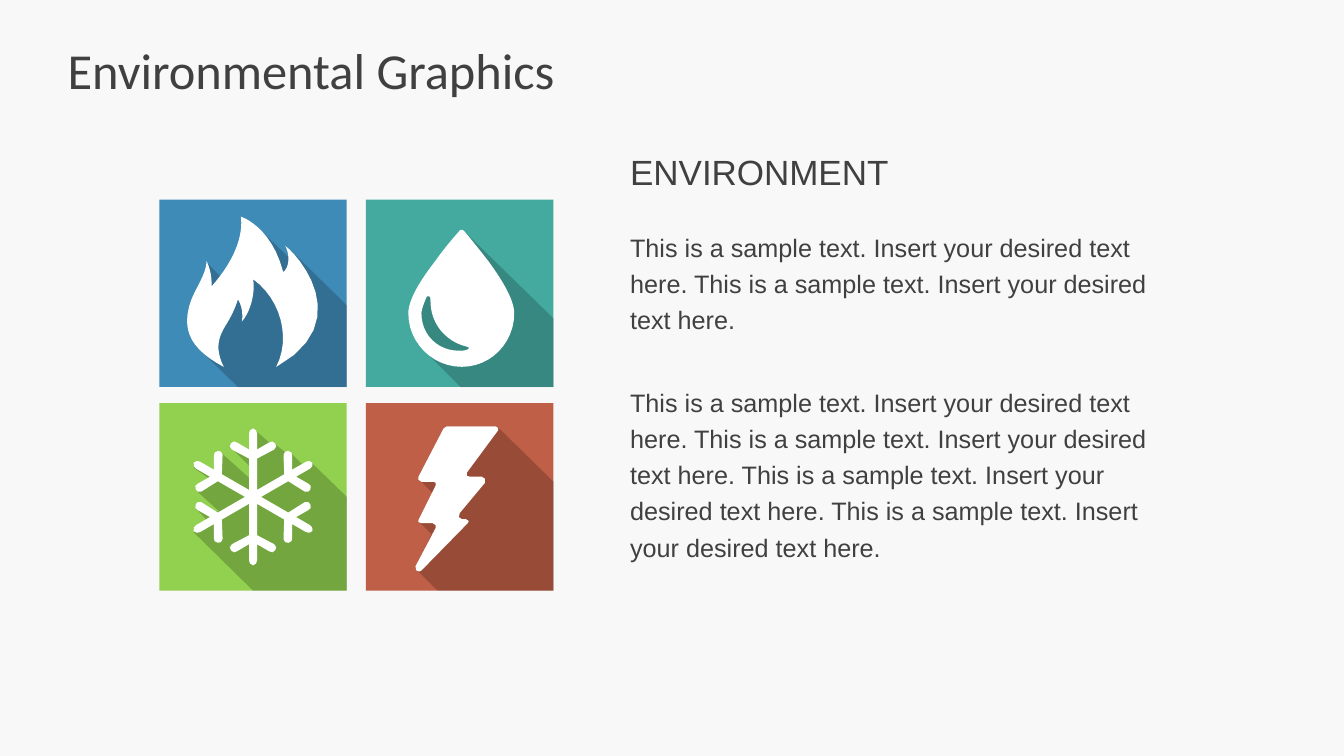
from dataclasses import dataclass
from math import cos, pi, sin

from pptx import Presentation, util as u
from pptx.dml.color import RGBColor
from pptx.enum import shapes, text
from pptx.oxml import parse_xml
from pptx.oxml.ns import nsdecls

PX = 9144  # one px is a hundredth of an inch
SIDE = 186
INK = "404040"
Points = list[tuple[float, float]]


@dataclass
class Tile:
    left: int
    top: int
    color: str
    shade: Points
    icon: list[Points]


@dataclass
class Label:
    box: tuple[int, int, int, int]
    lines: list[str]
    size: int
    font: str = "Arial"
    pitch: float = 1.0
    before: tuple[float, ...] = (0,)
    anchor: text.MSO_ANCHOR = text.MSO_ANCHOR.TOP


def emu(px: float) -> int:
    return round(px * PX)


def paint(fill, color: str) -> None:
    fill.solid()
    fill.fore_color.rgb = RGBColor.from_string(color)


def bend(knots: Points, steps: int = 12) -> Points:
    """Trace cubic curves: a start, then two handles and an end for each."""
    out = [knots[0]]
    for i in range(0, len(knots) - 1, 3):
        quad = knots[i:i + 4]
        for n in range(1, steps + 1):
            t = n / steps
            mix = ((1 - t) ** 3, 3 * t * (1 - t) ** 2, 3 * t * t * (1 - t), t ** 3)
            out.append((sum(m * p[0] for m, p in zip(mix, quad)),
                        sum(m * p[1] for m, p in zip(mix, quad))))
    return out


def spin(arm: Points, mid: float, count: int) -> Points:
    """Repeat an arm around a centre."""
    out = []
    for n in range(count):
        c, s = cos(2 * pi * n / count), sin(2 * pi * n / count)
        out += [(mid + x * c - y * s, mid + x * s + y * c) for x, y in arm]
    return out


def finish(shape, color: str) -> None:
    paint(shape.fill, color)
    shape.line.fill.background()
    shape.shadow.inherit = False


def outline(group, tile: Tile, loops: list[Points], color: str):
    spots = [[(emu(tile.left + x), emu(tile.top + y)) for x, y in loop] for loop in loops]
    pen = group.shapes.build_freeform(*spots[0][0], scale=1.0)
    for i, loop in enumerate(spots):
        if i:
            pen.move_to(*loop[0])
        pen.add_line_segments(loop[1:], close=True)
    shape = pen.convert_to_shape()
    finish(shape, color)
    return shape


def draw_tile(slide, tile: Tile) -> None:
    group = slide.shapes.add_group_shape()
    base = group.shapes.add_shape(shapes.MSO_SHAPE.RECTANGLE, emu(tile.left),
                                  emu(tile.top), emu(SIDE), emu(SIDE))
    finish(base, tile.color)
    shade = outline(group, tile, [tile.shade], "000000")
    tint = shade.fill._xPr.solidFill[0]
    tint.append(parse_xml(f'<a:alpha {nsdecls("a")} val="20000"/>'))
    outline(group, tile, tile.icon, "FFFFFF")


def draw_label(slide, label: Label) -> None:
    frame = slide.shapes.add_textbox(*map(emu, label.box)).text_frame
    frame.word_wrap = True
    frame.vertical_anchor = label.anchor
    frame.margin_left = frame.margin_right = 0
    frame.margin_top = frame.margin_bottom = emu(7)
    for i, (line, gap) in enumerate(zip(label.lines, label.before)):
        para = frame.paragraphs[0] if i == 0 else frame.add_paragraph()
        para.text = line
        para.space_before = u.Pt(gap)
        para.line_spacing = label.pitch
        para.font.size = u.Pt(label.size)
        para.font.name = label.font
        para.font.color.rgb = RGBColor.from_string(INK)


# Icon outlines, measured from the corner of their tile
FLAME = bend([
    (64, 166), (54, 146), (60, 134), (67, 123), (75, 110), (78, 99), (78, 99),
    (78, 99), (84, 107), (82, 121), (93, 108), (95, 87), (93, 79),
    (120, 98), (131, 137), (116, 166), (197, 121), (136, 53), (125, 46),
    (129, 53), (130, 66), (123, 72), (111, 26), (81, 17), (81, 17),
    (84, 41), (69, 67), (52, 86), (52, 77), (51, 70), (47, 61),
    (46, 78), (32, 92), (29, 109), (24, 131), (32, 149), (64, 166)])
DROP = bend([
    (122, 62), (109, 45), (98, 32), (98, 32), (97, 31), (96, 30), (95, 30),
    (94, 30), (92, 31), (92, 32), (92, 32), (80, 45), (68, 62),
    (51, 84), (42, 101), (42, 113), (42, 142), (66, 166), (95, 166),
    (124, 166), (147, 142), (147, 113), (147, 101), (138, 84), (122, 62)])
GLINT = bend([
    (100, 149), (98, 150), (94, 150), (92, 150), (71, 150), (55, 134), (55, 113),
    (55, 111), (56, 106), (60, 97), (60, 96), (61, 96), (62, 96),
    (63, 96), (64, 97), (64, 99), (64, 99), (64, 100), (64, 101),
    (64, 123), (79, 141), (100, 146), (101, 146), (102, 147), (102, 147),
    (102, 148), (101, 149), (100, 149)])
HALF = [(-4, -7), (-4, -38), (-21, -47), (-23, -50), (-22, -53), (-19, -55),
        (-16, -54), (-4, -47), (-4, -63), (-3, -66)]
FLAKE = spin(HALF + [(0, -68)] + [(-x, y) for x, y in reversed(HALF)], SIDE / 2, 6)
BOLT = [
    (55, 166), (101, 119), (102, 117), (99, 115), (95, 115), (92, 113), (93, 109),
    (118, 79), (118, 75), (115, 73), (103, 73), (100, 72), (100, 69), (131, 27),
    (131, 25), (129, 23), (80, 23), (77, 25), (52, 73), (52, 76), (55, 78),
    (67, 78), (69, 79), (69, 82), (52, 116), (52, 118), (55, 119), (66, 119),
    (69, 121), (69, 124), (49, 162), (50, 166), (53, 167)]

# Tiles, two by two
LEFT, RIGHT, UPPER, LOWER = 158, 363, 198, 400
TILES = [
    Tile(RIGHT, LOWER, "BF5F47", [
        (129, 23), (80, 23), (77, 25), (52, 73), (54, 77), (66, 89), (52, 116),
        (54, 119), (65, 130), (49, 163), (51, 166), (71, 186), (186, 186),
        (186, 78), (131, 24)], [BOLT]),
    Tile(LEFT, LOWER, "92D050", [
        (93, 186), (34, 128), (48, 117), (36, 104), (41, 104), (60, 108), (36, 86),
        (51, 76), (34, 64), (39, 62), (57, 71), (60, 48), (89, 74), (89, 62),
        (71, 44), (89, 51), (93, 25), (109, 39), (114, 40), (124, 48), (129, 48),
        (141, 60), (151, 59), (186, 93), (186, 186)], [FLAKE]),
    Tile(RIGHT, UPPER, "44AAA0", [
        (51, 143), (94, 186), (186, 186), (186, 118), (97, 31), (80, 99),
        (58, 89), (49, 120)], [DROP, GLINT]),
    Tile(LEFT, UPPER, "3F8BB7", [
        (36, 145), (78, 186), (186, 186), (186, 105), (128, 48), (131, 60),
        (100, 30), (62, 78), (47, 62)], [FLAME]),
]

# Wording
SAMPLE = "This is a sample text. Insert your desired text here."
LABELS = [
    Label((67, 30, 1200, 78), ["Environmental Graphics"], 36, "Calibri",
          anchor=text.MSO_ANCHOR.MIDDLE),
    Label((625, 142, 554, 67), ["ENVIRONMENT"], 25, before=(5,)),
    Label((625, 217, 554, 425), [" ".join([SAMPLE] * n) for n in (2, 4)], 18,
          pitch=1.2, before=(3.6, 33)),
]


def main() -> None:
    deck = Presentation()
    deck.slide_width, deck.slide_height = emu(1333), emu(750)
    slide = deck.slides.add_slide(deck.slide_layouts[6])
    paint(slide.background.fill, "F8F8F8")
    for label in LABELS:
        draw_label(slide, label)
    for tile in TILES:
        draw_tile(slide, tile)
    deck.save("out.pptx")


if __name__ == "__main__":
    main()
